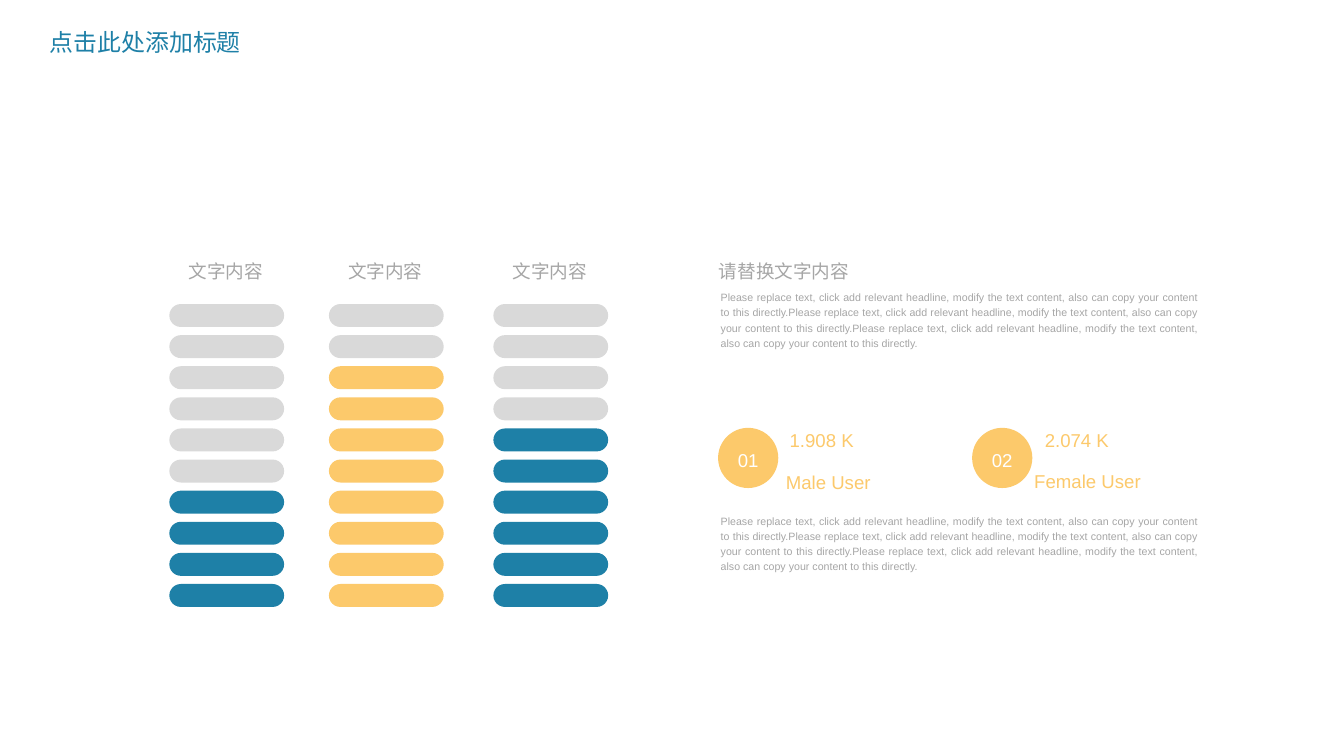
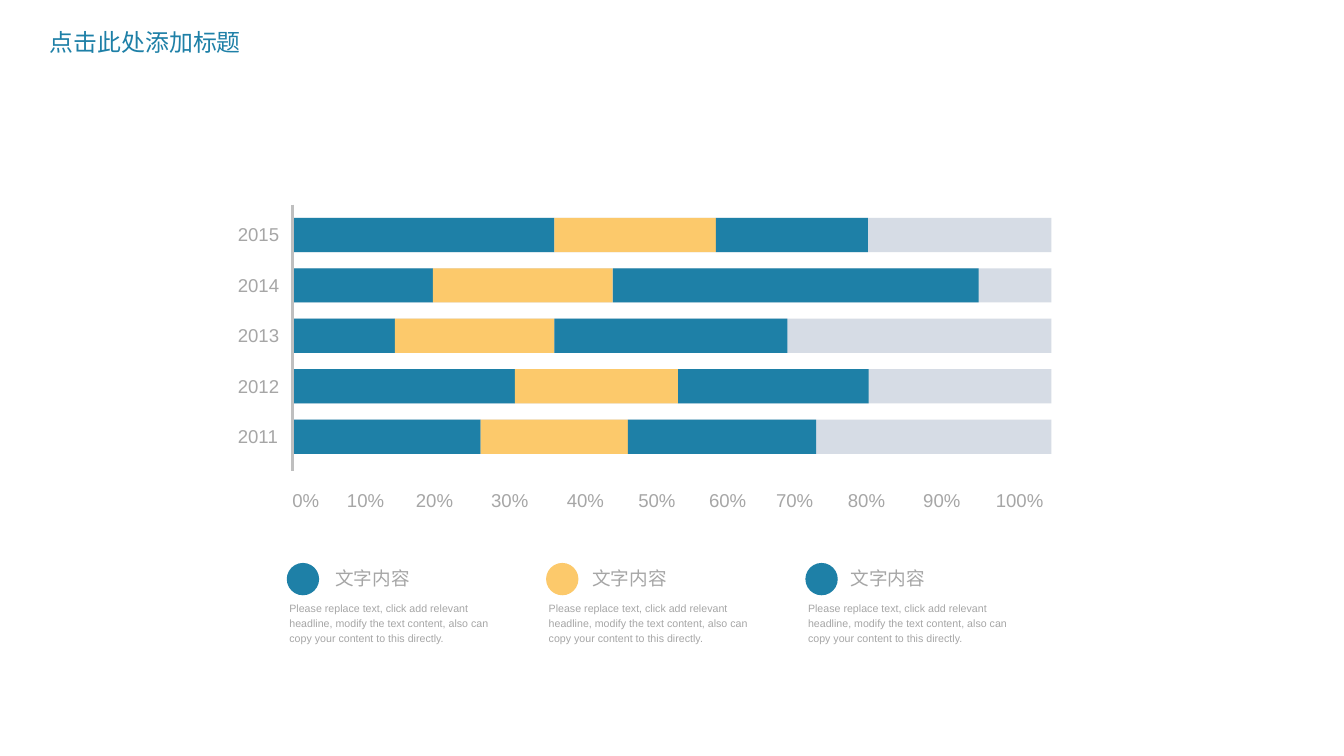
from dataclasses import dataclass

from lxml.etree import SubElement
from pptx import Presentation
from pptx.dml.color import RGBColor
from pptx.enum.shapes import MSO_CONNECTOR, MSO_SHAPE
from pptx.enum.text import MSO_ANCHOR, MSO_AUTO_SIZE, PP_ALIGN
from pptx.oxml.ns import qn
from pptx.shapes.autoshape import Shape
from pptx.slide import Slide
from pptx.util import Cm, Pt

# Shared style
BLUE = RGBColor(0x1E, 0x80, 0xA7)
YELLOW = RGBColor(0xFC, 0xC9, 0x6B)
TEXT_GREY = RGBColor(0xA6, 0xA6, 0xA6)
PILL_GREY = RGBColor(0xD9, 0xD9, 0xD9)
TRACK_GREY = RGBColor(0xD6, 0xDC, 0xE5)
AXIS_GREY = RGBColor(0xBF, 0xBF, 0xBF)
WHITE = RGBColor(0xFF, 0xFF, 0xFF)
LATIN_FONT = "Arial"
CHINESE_FONT = "Noto Sans CJK SC"

TITLE = "点击此处添加标题"
LABEL = "文字内容"
SENTENCE = ("Please replace text, click add relevant headline, modify the text content, "
            "also can copy your content to this directly.")


@dataclass(frozen=True)
class Box:
    """Left, top, width and height in centimetres."""
    left: float
    top: float
    width: float
    height: float

    def lengths(self) -> tuple[Cm, Cm, Cm, Cm]:
        return Cm(self.left), Cm(self.top), Cm(self.width), Cm(self.height)


@dataclass(frozen=True)
class TextStyle:
    size: float = 14
    color: RGBColor = TEXT_GREY
    align: PP_ALIGN = PP_ALIGN.JUSTIFY
    spacing: float = 1.2
    font: str = LATIN_FONT
    wrap: bool = True
    inset: bool = False
    grow: bool = True


@dataclass(frozen=True)
class PillColumn:
    left: float
    filled: int
    color: RGBColor


@dataclass(frozen=True)
class UserFigure:
    number: str
    circle_left: float
    value: str
    value_left: float
    caption: str
    caption_box: Box


@dataclass(frozen=True)
class YearBar:
    year: str
    shares: tuple[float, float, float]


@dataclass(frozen=True)
class LegendEntry:
    color: RGBColor
    label_left: float


TITLE_STYLE = TextStyle(18, BLUE, PP_ALIGN.LEFT, 1.0, CHINESE_FONT, inset=True, grow=False)
HEADING = TextStyle()
BODY = TextStyle(size=8)
COLUMN_LABEL = TextStyle(align=PP_ALIGN.CENTER, spacing=1.0)
FIGURE = TextStyle(color=YELLOW, align=PP_ALIGN.LEFT, wrap=False)
CIRCLE_NUMBER = TextStyle(color=WHITE, align=PP_ALIGN.CENTER, grow=False)
AXIS_LABEL = TextStyle(wrap=False, inset=True)
LEGEND_LABEL = TextStyle(align=PP_ALIGN.LEFT, wrap=False, inset=True)
LEGEND_BODY = TextStyle(size=8, align=PP_ALIGN.LEFT, inset=True)

# Pill columns
PILL_COLUMNS = (PillColumn(4.5, 4, BLUE), PillColumn(8.74, 8, YELLOW), PillColumn(13.11, 6, BLUE))
PILL_COUNT = 10
PILL_WIDTH, PILL_HEIGHT = 3.05, 0.61
PILL_FIRST_TOP, PILL_LAST_TOP = 8.08, 15.52
PILL_PITCH = (PILL_LAST_TOP - PILL_FIRST_TOP) / (PILL_COUNT - 1)

USER_FIGURES = (
    UserFigure("01", 19.08, "1.908 K", 20.98, "Male User", Box(20.88, 12.4, 2.4, 0.66)),
    UserFigure("02", 25.83, "2.074 K", 27.76, "Female User", Box(27.48, 12.37, 3.0, 0.66)),
)

# Stacked bars, shares in percent of the track
YEAR_BARS = (
    YearBar("2015", (34.5, 21.3, 20.0)),
    YearBar("2014", (18.5, 23.7, 48.2)),
    YearBar("2013", (13.5, 21.0, 30.7)),
    YearBar("2012", (29.3, 21.5, 25.1)),
    YearBar("2011", (24.8, 19.4, 24.8)),
)
SHARE_COLORS = (BLUE, YELLOW, BLUE)
TRACK_LEFT, TRACK_TOP, TRACK_WIDTH = 7.77, 5.79, 20.17
BAR_HEIGHT, BAR_PITCH = 0.91, 1.34
TICK_LEFTS = (7.52, 8.97, 10.8, 12.8, 14.81, 16.71, 18.59, 20.37, 22.28, 24.28, 26.21)
TICK_WIDTHS = {2: 1.24, 3: 1.5, 4: 1.78}

LEGEND = (LegendEntry(BLUE, 8.66), LegendEntry(YELLOW, 15.49), LegendEntry(BLUE, 22.35))
LEGEND_LEFT, LEGEND_PITCH = 7.62, 6.89


def write_text(shape: Shape, text: str, style: TextStyle) -> None:
    frame = shape.text_frame
    frame.word_wrap = style.wrap
    frame.auto_size = MSO_AUTO_SIZE.SHAPE_TO_FIT_TEXT if style.grow else MSO_AUTO_SIZE.NONE
    if not style.inset:
        frame.margin_left = frame.margin_top = frame.margin_right = frame.margin_bottom = 0
    paragraph = frame.paragraphs[0]
    paragraph.alignment = style.align
    paragraph.line_spacing = style.spacing
    run = paragraph.add_run()
    run.text = text
    run.font.size = Pt(style.size)
    run.font.color.rgb = style.color
    run.font.name = style.font
    SubElement(run.font._element, qn("a:ea")).set("typeface", CHINESE_FONT)


def add_text(slide: Slide, box: Box, text: str, style: TextStyle) -> None:
    write_text(slide.shapes.add_textbox(*box.lengths()), text, style)


def add_filled(slide: Slide, kind: MSO_SHAPE, box: Box, color: RGBColor) -> Shape:
    shape = slide.shapes.add_shape(kind, *box.lengths())
    shape.shadow.inherit = False
    shape.fill.solid()
    shape.fill.fore_color.rgb = color
    shape.line.fill.background()
    return shape


def add_titled_slide(presentation: Presentation) -> Slide:
    slide = presentation.slides.add_slide(presentation.slide_layouts[6])
    add_text(slide, Box(1.07, 0.6, 5.99, 0.99), TITLE, TITLE_STYLE)
    return slide


def add_pill_column(slide: Slide, column: PillColumn) -> None:
    add_text(slide, Box(column.left + 0.13, 6.91, 2.74, 0.61), LABEL, COLUMN_LABEL)
    for row in range(PILL_COUNT):
        top = PILL_FIRST_TOP + row * PILL_PITCH
        color = column.color if row >= PILL_COUNT - column.filled else PILL_GREY
        box = Box(column.left, top, PILL_WIDTH, PILL_HEIGHT)
        pill = add_filled(slide, MSO_SHAPE.ROUNDED_RECTANGLE, box, color)
        pill.adjustments[0] = 0.5


def add_user_figure(slide: Slide, figure: UserFigure) -> None:
    circle = add_filled(slide, MSO_SHAPE.OVAL, Box(figure.circle_left, 11.37, 1.6, 1.6), YELLOW)
    circle.text_frame.vertical_anchor = MSO_ANCHOR.MIDDLE
    write_text(circle, figure.number, CIRCLE_NUMBER)
    add_text(slide, Box(figure.value_left, 11.28, 2.0, 0.66), figure.value, FIGURE)
    add_text(slide, figure.caption_box, figure.caption, FIGURE)


def build_users_slide(presentation: Presentation) -> None:
    slide = add_titled_slide(presentation)
    for column in PILL_COLUMNS:
        add_pill_column(slide, column)

    # Explanations and user figures
    add_text(slide, Box(19.1, 6.78, 11.38, 0.66), "请替换文字内容", HEADING)
    for top in (7.67, 13.61):
        add_text(slide, Box(19.15, top, 12.7, 1.65), SENTENCE * 3, BODY)
    for figure in USER_FIGURES:
        add_user_figure(slide, figure)


def add_year_bar(slide: Slide, bar: YearBar, top: float) -> None:
    add_text(slide, Box(6.07, top - 0.1, 1.63, BAR_HEIGHT), bar.year, AXIS_LABEL)
    add_filled(slide, MSO_SHAPE.RECTANGLE,
               Box(TRACK_LEFT, top, TRACK_WIDTH, BAR_HEIGHT), TRACK_GREY)
    left = TRACK_LEFT
    for share, color in zip(bar.shares, SHARE_COLORS):
        width = TRACK_WIDTH * share / 100
        add_filled(slide, MSO_SHAPE.RECTANGLE, Box(left, top, width, BAR_HEIGHT), color)
        left += width


def add_axis(slide: Slide) -> None:
    axis = slide.shapes.add_connector(
        MSO_CONNECTOR.STRAIGHT, Cm(TRACK_LEFT), Cm(5.44), Cm(TRACK_LEFT), Cm(12.52))
    axis.line.color.rgb = AXIS_GREY
    axis.line.width = Pt(2)
    SubElement(axis._element.spPr, qn("a:effectLst"))
    for index, left in enumerate(TICK_LEFTS):
        tick = f"{index * 10}%"
        add_text(slide, Box(left, 12.75, TICK_WIDTHS[len(tick)], 0.91), tick, AXIS_LABEL)


def add_legend_entry(slide: Slide, entry: LegendEntry, left: float) -> None:
    add_filled(slide, MSO_SHAPE.OVAL, Box(left, 14.96, 0.86, 0.86), entry.color)
    add_text(slide, Box(entry.label_left, 14.83, 2.51, 0.91), LABEL, LEGEND_LABEL)
    add_text(slide, Box(left - 0.18, 15.8, 6.25, 1.5), SENTENCE, LEGEND_BODY)


def build_years_slide(presentation: Presentation) -> None:
    slide = add_titled_slide(presentation)
    for index, bar in enumerate(YEAR_BARS):
        add_year_bar(slide, bar, TRACK_TOP + index * BAR_PITCH)
    add_axis(slide)
    for index, entry in enumerate(LEGEND):
        add_legend_entry(slide, entry, LEGEND_LEFT + index * LEGEND_PITCH)


def main() -> None:
    presentation = Presentation()
    presentation.slide_width = Cm(35.71)
    presentation.slide_height = Cm(20.09)
    build_users_slide(presentation)
    build_years_slide(presentation)
    presentation.save("out.pptx")


if __name__ == "__main__":
    main()
